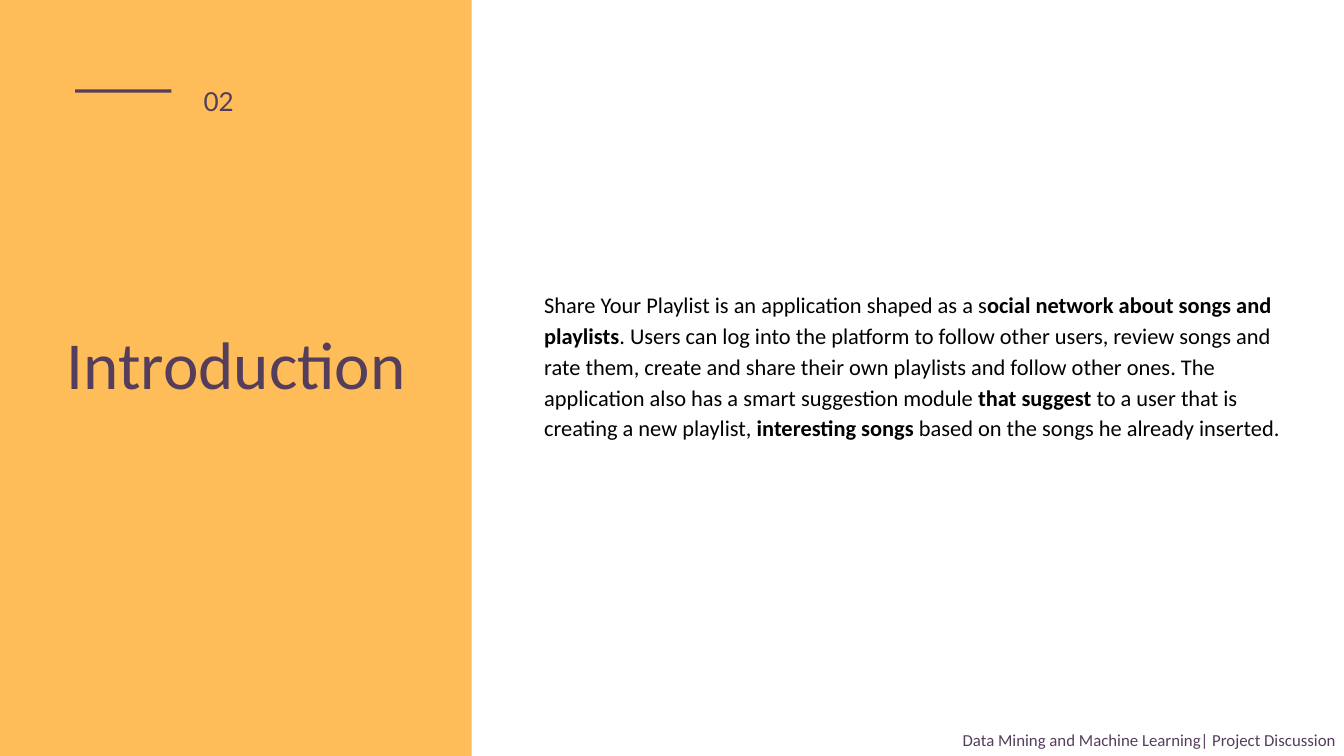
from pptx import Presentation
from pptx.dml.color import RGBColor
from pptx.enum.shapes import MSO_SHAPE as Shape
from pptx.enum.text import PP_ALIGN as Align
from pptx.util import Inches, Pt

ORANGE = RGBColor(0xFF, 0xBD, 0x59)
PURPLE = RGBColor(0x55, 0x3E, 0x5C)
BLACK = RGBColor(0x00, 0x00, 0x00)

presentation = Presentation()
presentation.slide_width = Inches(20)
presentation.slide_height = Inches(11.25)
slide = presentation.slides.add_slide(presentation.slide_layouts[6])


def add_rectangle(left, top, width, height, color):
    shape = slide.shapes.add_shape(
        Shape.RECTANGLE, Inches(left), Inches(top), Inches(width), Inches(height))
    shape.shadow.inherit = False
    shape.fill.solid()
    shape.fill.fore_color.rgb = color
    shape.line.fill.background()


def add_text(box, runs, size, color, font="Calibri", inset=0, **paragraph_format):
    """Write one paragraph of (text, bold) runs in a wrapped text box."""
    frame = slide.shapes.add_textbox(*map(Inches, box)).text_frame
    frame.word_wrap = True
    for side in ("left", "top", "right", "bottom"):
        setattr(frame, f"margin_{side}", Inches(inset))
    paragraph = frame.paragraphs[0]
    for name, value in paragraph_format.items():
        setattr(paragraph, name, value)
    for text, bold in runs:
        run = paragraph.add_run()
        run.text = text
        run.font.color.rgb = color
        for name, value in {"name": font, "size": Pt(size), "bold": bold}.items():
            setattr(run.font, name, value)


# Left panel with accent line and section number
add_rectangle(0, 0, 7.02, 11.25, ORANGE)
add_rectangle(1.12, 1.33, 1.43, 0.05, PURPLE)
add_text((3.03, 1.08, 1.73, 0.51), [("02", False)], 28, PURPLE,
         font="Lato", line_spacing=1.4)

# Title
add_text((0.22, 4.8, 6.59, 1.21), [("Introduction", False)], 72, PURPLE,
         alignment=Align.CENTER)

# Footer
add_text((12.47, 10.74, 7.41, 0.3),
         [("Data Mining and Machine Learning| Project Discussion", False)],
         18, PURPLE, alignment=Align.RIGHT, line_spacing=1.4)

# Description with bold key phrases
description = [
    ("Share Your Playlist is an application shaped as a s", False),
    ("ocial network about songs and playlists", True),
    (". Users can log into the platform to follow other users, review songs and "
     "rate them, create and share their own playlists and follow other ones. The "
     "application also has a smart suggestion module ", False),
    ("that suggest", True),
    (" to a user that is creating a new playlist, ", False),
    ("interesting songs", True),
    (" based on the songs he already inserted.", False),
]
add_text((8, 4.17, 11.29, 2.46), description, 24, BLACK, inset=0.1,
         line_spacing=1.15, space_after=Pt(10))

presentation.save("out.pptx")
